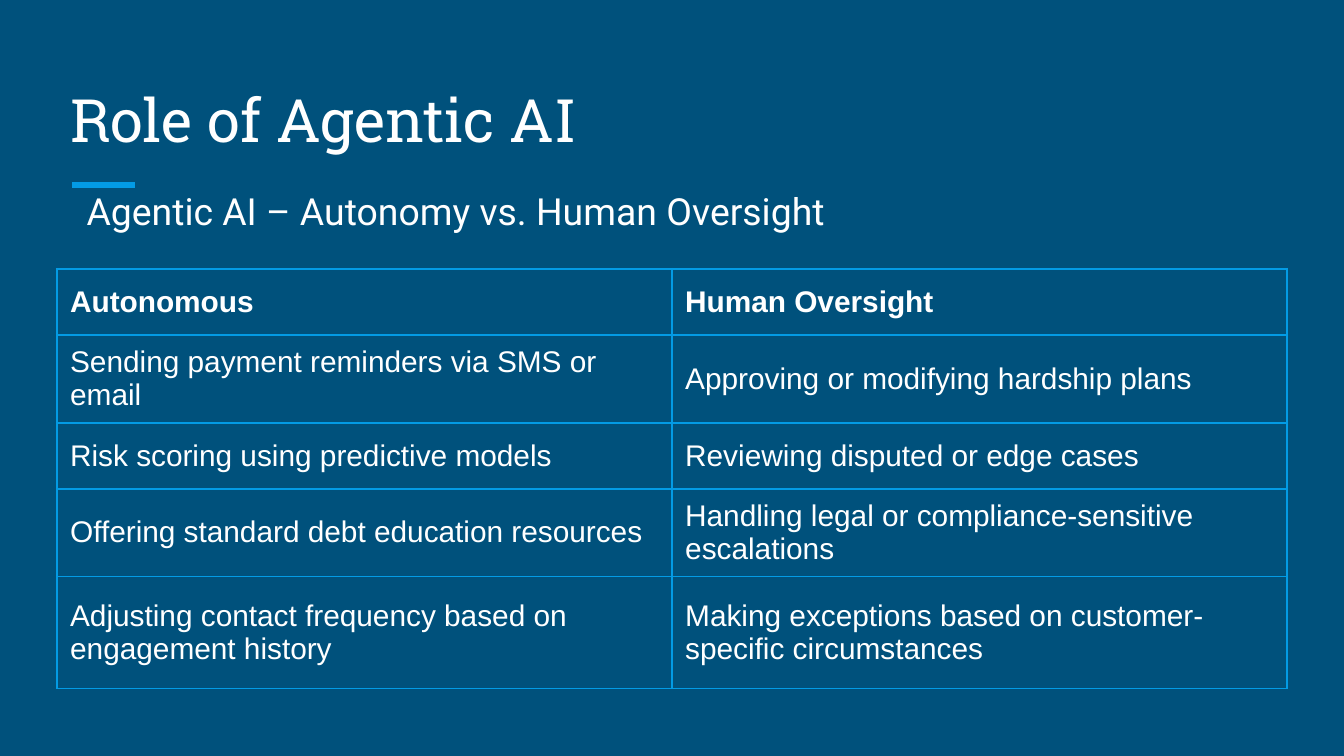
from lxml.etree import SubElement
from pptx import Presentation
from pptx.dml.color import RGBColor
from pptx.enum.shapes import MSO_CONNECTOR
from pptx.enum.text import MSO_ANCHOR, PP_ALIGN
from pptx.oxml.ns import qn
from pptx.util import Pt

BACKGROUND, ACCENT, WHITE = "00517C", "039BE5", "FFFFFF"
LEFT, WIDTH = 30.4, 659


def color(hex_code):
    return RGBColor.from_string(hex_code)


def style(paragraph, font_name, size, bold=False):
    paragraph.alignment = PP_ALIGN.LEFT
    for run in paragraph.runs:
        run.font.name = font_name
        run.font.size = Pt(size)
        run.font.bold = bold
        run.font.color.rgb = color(WHITE)


prs = Presentation()
prs.slide_width, prs.slide_height = Pt(720), Pt(405)
slide = prs.slides.add_slide(prs.slide_layouts[5])
slide.background.fill.solid()
slide.background.fill.fore_color.rgb = color(BACKGROUND)

accent_rule = slide.shapes.add_connector(
    MSO_CONNECTOR.STRAIGHT, Pt(38.6), Pt(99), Pt(72.3), Pt(99))
accent_rule.line.color.rgb = color(ACCENT)
accent_rule.line.width = Pt(3)
SubElement(accent_rule._element.spPr, qn("a:effectLst"))

title = slide.shapes.title
title.left, title.top, title.width, title.height = Pt(LEFT), Pt(36), Pt(WIDTH), Pt(54)
title.text_frame.text = "Role of Agentic AI"
title.text_frame.vertical_anchor = MSO_ANCHOR.BOTTOM
style(title.text_frame.paragraphs[0], "Roboto Slab", 32)

subtitle = slide.shapes.add_textbox(Pt(LEFT), Pt(90), Pt(WIDTH), Pt(240))
subtitle.text_frame.word_wrap = True
subtitle.text_frame.text = "Agentic AI – Autonomy vs. Human Oversight"
subtitle.text_frame.paragraphs[0].line_spacing = 1.15
style(subtitle.text_frame.paragraphs[0], "Roboto", 20)

for frame in (title.text_frame, subtitle.text_frame):
    frame.margin_left = frame.margin_right = Pt(7.2)
    frame.margin_top = frame.margin_bottom = Pt(7.2)
subtitle.text_frame.margin_left = Pt(16)

duties = [
    ("Autonomous", "Human Oversight"),
    ("Sending payment reminders via SMS or email", "Approving or modifying hardship plans"),
    ("Risk scoring using predictive models", "Reviewing disputed or edge cases"),
    ("Offering standard debt education resources",
     "Handling legal or compliance-sensitive escalations"),
    ("Adjusting contact frequency based on engagement history",
     "Making exceptions based on customer-specific circumstances"),
]
row_heights = [35.4, 47.1, 35.4, 47.1, 60]

comparison = slide.shapes.add_table(
    len(duties), 2, Pt(LEFT), Pt(144), Pt(WIDTH), Pt(sum(row_heights))).table
for column in comparison.columns:
    column.width = Pt(WIDTH / 2)

for row_index, (duty_pair, height) in enumerate(zip(duties, row_heights)):
    comparison.rows[row_index].height = Pt(height)
    for column_index, duty in enumerate(duty_pair):
        cell = comparison.cell(row_index, column_index)
        cell.text_frame.text = duty
        cell.vertical_anchor = MSO_ANCHOR.MIDDLE
        style(cell.text_frame.paragraphs[0], "Arial", 16, bold=row_index == 0)
        cell_properties = cell._tc.get_or_add_tcPr()
        for side in ("lnL", "lnR", "lnT", "lnB"):
            border = SubElement(cell_properties, qn(f"a:{side}"), w=str(Pt(1)))
            border_fill = SubElement(border, qn("a:solidFill"))
            SubElement(border_fill, qn("a:srgbClr"), val=ACCENT)
        cell.fill.background()

prs.save("out.pptx")
